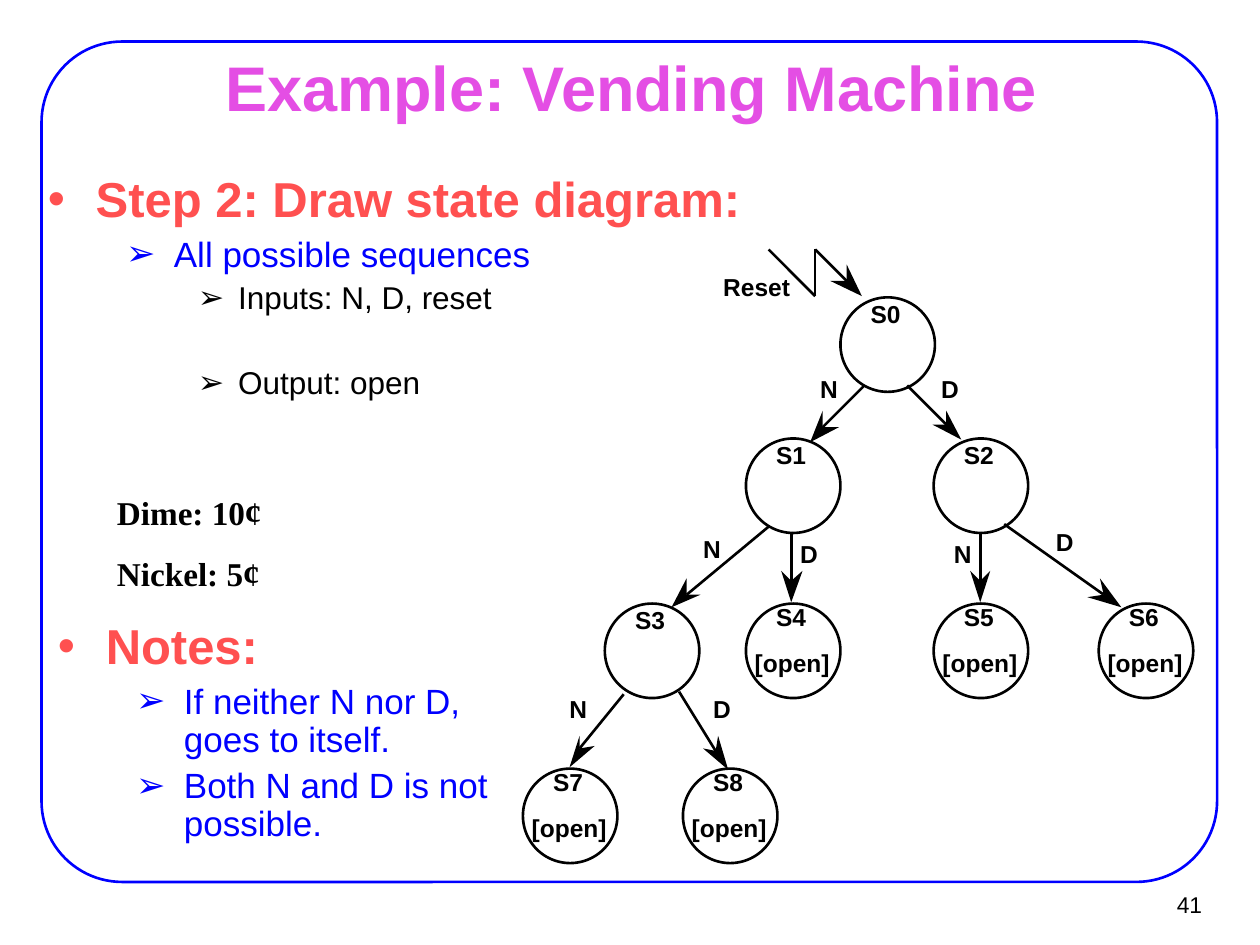
from lxml import etree
from pptx import Presentation
from pptx.dml.color import RGBColor
from pptx.enum.shapes import MSO_CONNECTOR as Connector, MSO_SHAPE as Shape
from pptx.enum.text import MSO_ANCHOR as Anchor, MSO_AUTO_SIZE as AutoSize, PP_ALIGN as Align
from pptx.oxml.ns import qn
from pptx.util import Inches, Pt

BLACK, BLUE, RED, PINK, WHITE = "000000", "0000FF", "FF5050", "E44EE4", "FFFFFF"

# Level: indent, hanging, size, space before, colour, bullet
LEVELS = [
    (0.38, 0.38, 28, 7, RED, "•"),
    (1, 0.38, 20, 5, BLUE, "➢"),
    (1.51, 0.32, 18, 4.5, BLACK, "➢"),
]

DIAMETER = 0.75
# State: left, top, whether its output is open
STATES = {
    "S0": (2.52, 0.38, False),
    "S1": (1.77, 1.5, False),
    "S2": (3.26, 1.5, False),
    "S3": (0.65, 2.81, False),
    "S4": (1.77, 2.81, True),
    "S5": (3.26, 2.81, True),
    "S6": (4.57, 2.81, True),
    "S7": (0, 4.12, True),
    "S8": (1.27, 4.12, True),
}
# Transition: label, label corner, line start, then head notch, tip and two barbs
TRANSITIONS = [
    ("Reset", (1.59, 0.18), (2.32, 0), (2.57, 0.25), (2.69, 0.37), (2.44, 0.25), (2.57, 0.12)),
    ("N", (2.36, 0.99), (2.71, 1.08), (2.38, 1.41), (2.28, 1.53), (2.38, 1.28), (2.51, 1.41)),
    ("D", (3.32, 0.99), (3.05, 1.08), (3.36, 1.39), (3.48, 1.51), (3.25, 1.39), (3.36, 1.28)),
    ("N", (1.43, 2.26), (1.95, 2.2), (1.3, 2.74), (1.18, 2.84), (1.3, 2.61), (1.41, 2.74)),
    ("D", (2.2, 2.3), (2.13, 2.24), (2.13, 2.63), (2.13, 2.8), (2.05, 2.55), (2.22, 2.55)),
    ("N", (3.42, 2.3), (3.63, 2.24), (3.63, 2.63), (3.63, 2.8), (3.55, 2.55), (3.71, 2.55)),
    ("D", (4.23, 2.2), (3.82, 2.18), (4.61, 2.74), (4.75, 2.84), (4.48, 2.76), (4.58, 2.61)),
    ("N", (0.37, 3.53), (0.8, 3.53), (0.45, 3.96), (0.37, 4.11), (0.45, 3.86), (0.57, 3.94)),
    ("D", (1.51, 3.53), (1.24, 3.51), (1.53, 3.98), (1.63, 4.13), (1.43, 3.96), (1.55, 3.86)),
]


def color(value):
    return RGBColor.from_string(value)


def place(shape, box):
    shape.left, shape.top, shape.width, shape.height = map(Inches, box)


def set_frame(shape, across=0.11, down=0.06, wrap=True, anchor=Anchor.TOP):
    frame = shape.text_frame
    frame.auto_size = AutoSize.NONE
    frame.word_wrap = wrap
    frame.vertical_anchor = anchor
    frame.margin_left = frame.margin_right = Inches(across)
    frame.margin_top = frame.margin_bottom = Inches(down)
    return frame


def add_span(para, text, size, tint=BLACK, bold=True, font="Arial"):
    span = para.add_run()
    span.text = text
    span.font.size, span.font.bold, span.font.name = Pt(size), bold, font
    span.font.color.rgb = color(tint)


def add_paras(frame, count):
    return [frame.paragraphs[0]] + [frame.add_paragraph() for _ in range(count - 1)]


def add_title(page, box, text):
    title = page.shapes.title
    place(title, box)
    para = set_frame(title, anchor=Anchor.MIDDLE).paragraphs[0]
    para.alignment = Align.CENTER
    add_span(para, text, 36, PINK)


def set_bullet(para, indent, hanging, tint, mark):
    props = para._p.get_or_add_pPr()
    props.set("marL", str(Inches(indent)))
    props.set("indent", str(-Inches(hanging)))
    tone = etree.SubElement(props, qn("a:buClr"))
    etree.SubElement(tone, qn("a:srgbClr"), val=tint)
    etree.SubElement(props, qn("a:buFont"), typeface="Arial")
    etree.SubElement(props, qn("a:buChar"), char=mark)


def add_bullets(shape, box, items):
    place(shape, box)
    paras = add_paras(set_frame(shape), len(items))
    for para, (level, text, extra) in zip(paras, items):
        indent, hanging, size, before, tint, mark = LEVELS[level]
        para.level = level
        para.alignment = Align.LEFT
        para.line_spacing = 0.9
        para.space_before = Pt(before + extra)
        para.space_after = Pt(0)
        set_bullet(para, indent, hanging, tint, mark)
        add_span(para, text, size, tint, bold=level == 0)


def add_border(page, box):
    border = page.shapes.add_shape(Shape.ROUNDED_RECTANGLE, *map(Inches, box))
    border.adjustments[0] = 0.096
    border.shadow.inherit = False
    border.fill.background()
    border.line.color.rgb = color(BLUE)
    border.line.width = Pt(1.5)


def add_coins(page, box):
    frame = set_frame(page.shapes.add_textbox(*map(Inches, box)), 0.1, 0.05)
    coins = ["Dime: 10¢", "Nickel: 5¢"]
    for para, text in zip(add_paras(frame, len(coins)), coins):
        para.space_before = Pt(11.9)
        add_span(para, text, 19, font="Times New Roman")


def add_page_number(page, box, text):
    shape = page.shapes.add_textbox(*map(Inches, box))
    para = set_frame(shape, 0.09, 0.04, False, Anchor.MIDDLE).paragraphs[0]
    para.alignment = Align.RIGHT
    add_span(para, text, 13, bold=False)


def add_diagram(page, left, top):
    group = page.shapes.add_group_shape().shapes

    def at(point):
        return Inches(left + point[0]), Inches(top + point[1])

    def add_label(point, text, width):
        label = group.add_textbox(*at(point), Inches(width), Inches(0.23))
        add_span(set_frame(label, 0, 0, False).paragraphs[0], text, 14)

    def add_line(start, end):
        line = group.add_connector(Connector.STRAIGHT, *at(start), *at(end))
        line.line.color.rgb = color(BLACK)
        line.line.width = Pt(1.5)
        etree.SubElement(line._element.spPr, qn("a:effectLst"))

    # States
    for name, (x, y, is_open) in STATES.items():
        circle = group.add_shape(Shape.OVAL, *at((x, y)), Inches(DIAMETER), Inches(DIAMETER))
        circle.shadow.inherit = False
        circle.fill.solid()
        circle.fill.fore_color.rgb = color(WHITE)
        circle.line.color.rgb = color(BLACK)
        circle.line.width = Pt(1.5)
        add_label((x + 0.24, y + (-0.01 if is_open else 0.01)), name, 0.24)
        if is_open:
            add_label((x + 0.07, y + 0.35), "[open]", 0.6)

    # Reset zigzag ahead of its arrow
    add_line((1.95, 0), (2.32, 0.37))
    add_line((2.32, 0.37), (2.32, 0))

    # Transitions
    for text, corner, start, notch, tip, barb, other_barb in TRANSITIONS:
        outline = group.build_freeform(*at(tip))
        outline.add_line_segments([at(barb), at(notch), at(other_barb)], close=True)
        head = outline.convert_to_shape()
        head.shadow.inherit = False
        head.fill.solid()
        head.fill.fore_color.rgb = color(BLACK)
        head.line.fill.background()
        add_line(start, notch)
        add_label(corner, text, 0.53 if text == "Reset" else 0.14)


def main():
    deck = Presentation()
    deck.slide_width, deck.slide_height = Inches(10), Inches(7.5)
    page = deck.slides.add_slide(deck.slide_layouts[1])

    add_border(page, (0.33, 0.33, 9.33, 6.67))
    add_page_number(page, (9.02, 6.99, 0.61, 0.37), "41")
    add_title(page, (0.76, 0.44, 8.5, 0.49), "Example: Vending Machine")
    add_bullets(page.placeholders[1], (0.27, 1.33, 8.5, 1.94), [
        (0, "Step 2: Draw state diagram:", 0),
        (1, "All possible sequences", 0),
        (2, "Inputs: N, D, reset", 0),
        (2, "Output: open", 24.5),
    ])
    add_diagram(page, 4.15, 1.98)
    add_coins(page, (0.83, 3.86, 2.91, 0.9))
    notes_box = (0.35, 4.88, 3.94, 1.94)
    add_bullets(page.shapes.add_textbox(*map(Inches, notes_box)), notes_box, [
        (0, "Notes:", 0),
        (1, "If neither N nor D, goes to itself.", 0),
        (1, "Both N and D is not possible.", 0),
    ])
    deck.save("out.pptx")


if __name__ == "__main__":
    main()
